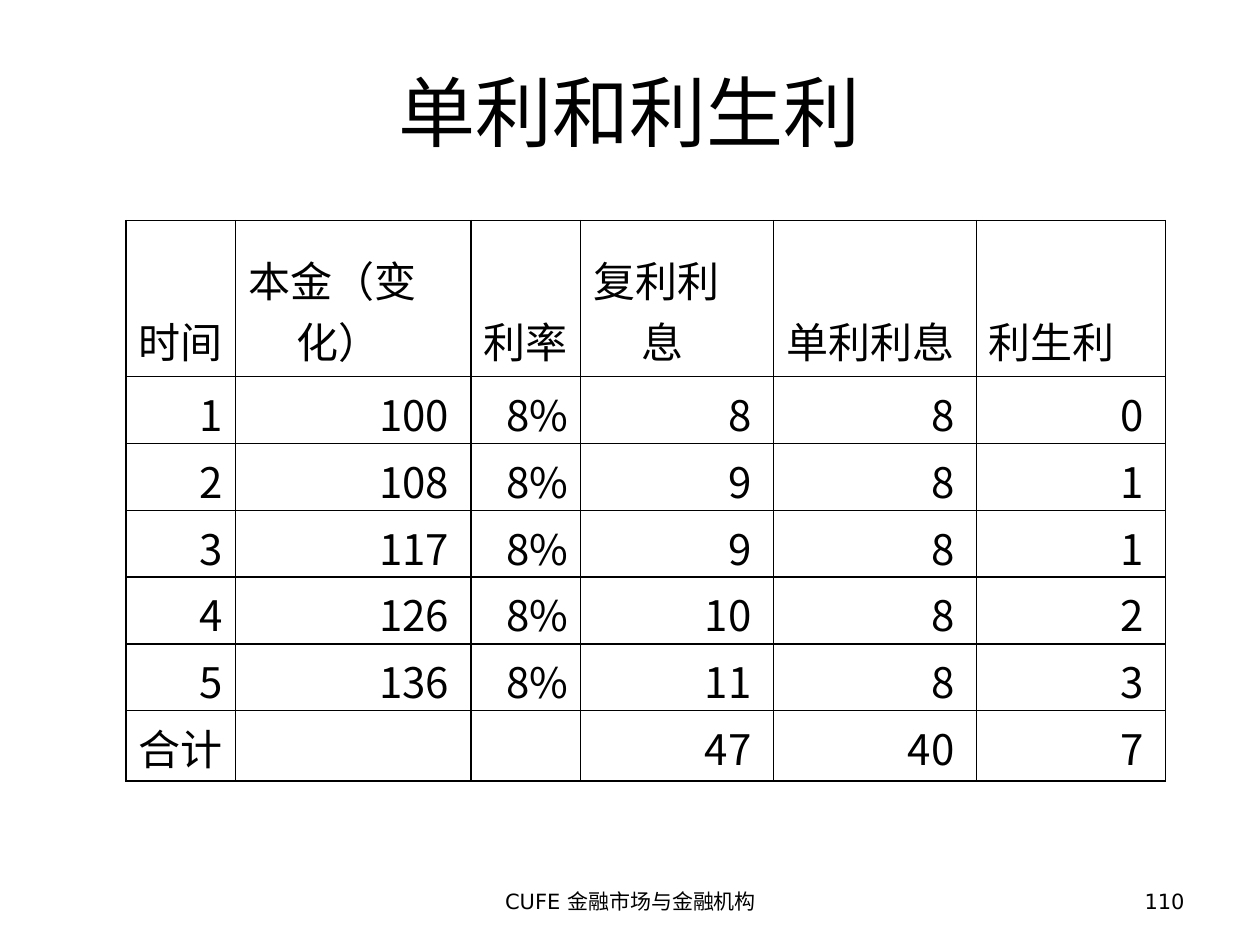
from lxml.etree import SubElement
from pptx import Presentation
from pptx.dml.color import RGBColor
from pptx.enum.text import MSO_ANCHOR as Anchor, PP_ALIGN as Align
from pptx.oxml import parse_xml
from pptx.oxml.ns import nsdecls, qn
from pptx.util import Inches, Pt

COLORS = {"text": "000000", "border": "000000", "page": "FFFFFF"}
TITLE_FONT, FOOTER_FONT, TABLE_FONT = "Calibri", "DejaVu Sans", "Noto Sans CJK SC"
COLUMN_WIDTHS = [0.87, 1.87, 0.87, 1.53, 1.61, 1.5]
ROW_HEIGHTS = [1.24] + [0.53] * 5 + [0.56]
HEADINGS = ["时间", "本金（变化）", "利率", "复利利息", "单利利息", "利生利"]
INTEREST_ROWS = [
    ["1", "100 ", "8%", "8 ", "8 ", "0 "],
    ["2", "108 ", "8%", "9 ", "8 ", "1 "],
    ["3", "117 ", "8%", "9 ", "8 ", "1 "],
    ["4", "126 ", "8%", "10 ", "8 ", "2 "],
    ["5", "136 ", "8%", "11 ", "8 ", "3 "],
]
TOTALS = ["合计", "", "", "47 ", "40 ", "7 "]
HANGING = 0.38


def write_text(frame, text, *, font, size, align=Align.LEFT, anchor=Anchor.MIDDLE,
               hanging=0, east_asian=None):
    frame.word_wrap = True
    frame.vertical_anchor = anchor
    paragraph = frame.paragraphs[0]
    paragraph.alignment = align
    if hanging:
        props = paragraph._p.get_or_add_pPr()
        props.set("marL", str(Inches(hanging)))
        props.set("indent", str(-Inches(hanging)))
    run = paragraph.add_run()
    run.text = text
    run.font.name = font
    run.font.size = Pt(size)
    run.font.color.rgb = RGBColor.from_string(COLORS["text"])
    if east_asian:
        SubElement(run._r.get_or_add_rPr(), qn("a:ea")).set("typeface", east_asian)


def add_title(slide, text):
    title = slide.shapes.title
    title.left, title.top = Inches(0.5), Inches(0.25)
    title.width, title.height = Inches(9), Inches(1.25)
    write_text(title.text_frame, text, font=TITLE_FONT, size=44, align=Align.CENTER)


def add_footer(slide, text, left, width, align):
    box = slide.shapes.add_textbox(Inches(left), Inches(6.95), Inches(width), Inches(0.4))
    write_text(box.text_frame, text, font=FOOTER_FONT, size=12, align=align)


def set_borders(cell, points=1):
    props = cell._tc.get_or_add_tcPr()
    for position, side in enumerate(("lnL", "lnR", "lnT", "lnB")):
        props.insert(position, parse_xml(
            f'<a:{side} {nsdecls("a")} w="{Pt(points)}"><a:solidFill>'
            f'<a:srgbClr val="{COLORS["border"]}"/></a:solidFill></a:{side}>'))


def add_interest_table(slide):
    rows = [HEADINGS, *INTEREST_ROWS, TOTALS]
    table = slide.shapes.add_table(
        len(rows), len(HEADINGS), Inches(1), Inches(1.75),
        Inches(sum(COLUMN_WIDTHS)), Inches(sum(ROW_HEIGHTS))).table
    table.first_row = table.horz_banding = False
    for column, width in zip(table.columns, COLUMN_WIDTHS):
        column.width = Inches(width)
    for row, height, values in zip(table.rows, ROW_HEIGHTS, rows):
        row.height = Inches(height)
        for cell, value in zip(row.cells, values):
            cell.fill.background()
            set_borders(cell)
            if value:
                # Figures sit right, words left
                align = Align.RIGHT if value[0].isdigit() else Align.LEFT
                write_text(cell.text_frame, value, font=TABLE_FONT, size=24, align=align,
                           hanging=HANGING, east_asian=TABLE_FONT)
                cell.vertical_anchor = Anchor.BOTTOM


def main():
    deck = Presentation()
    deck.slide_width, deck.slide_height = Inches(10), Inches(7.5)
    slide = deck.slides.add_slide(deck.slide_layouts[5])
    slide.background.fill.solid()
    slide.background.fill.fore_color.rgb = RGBColor.from_string(COLORS["page"])

    # Footer and page number
    add_footer(slide, "CUFE 金融市场与金融机构", 3.42, 3.17, Align.CENTER)
    add_footer(slide, "110", 7.17, 2.33, Align.RIGHT)

    # Title and interest table
    add_title(slide, "单利和利生利")
    add_interest_table(slide)
    deck.save("out.pptx")


if __name__ == "__main__":
    main()
